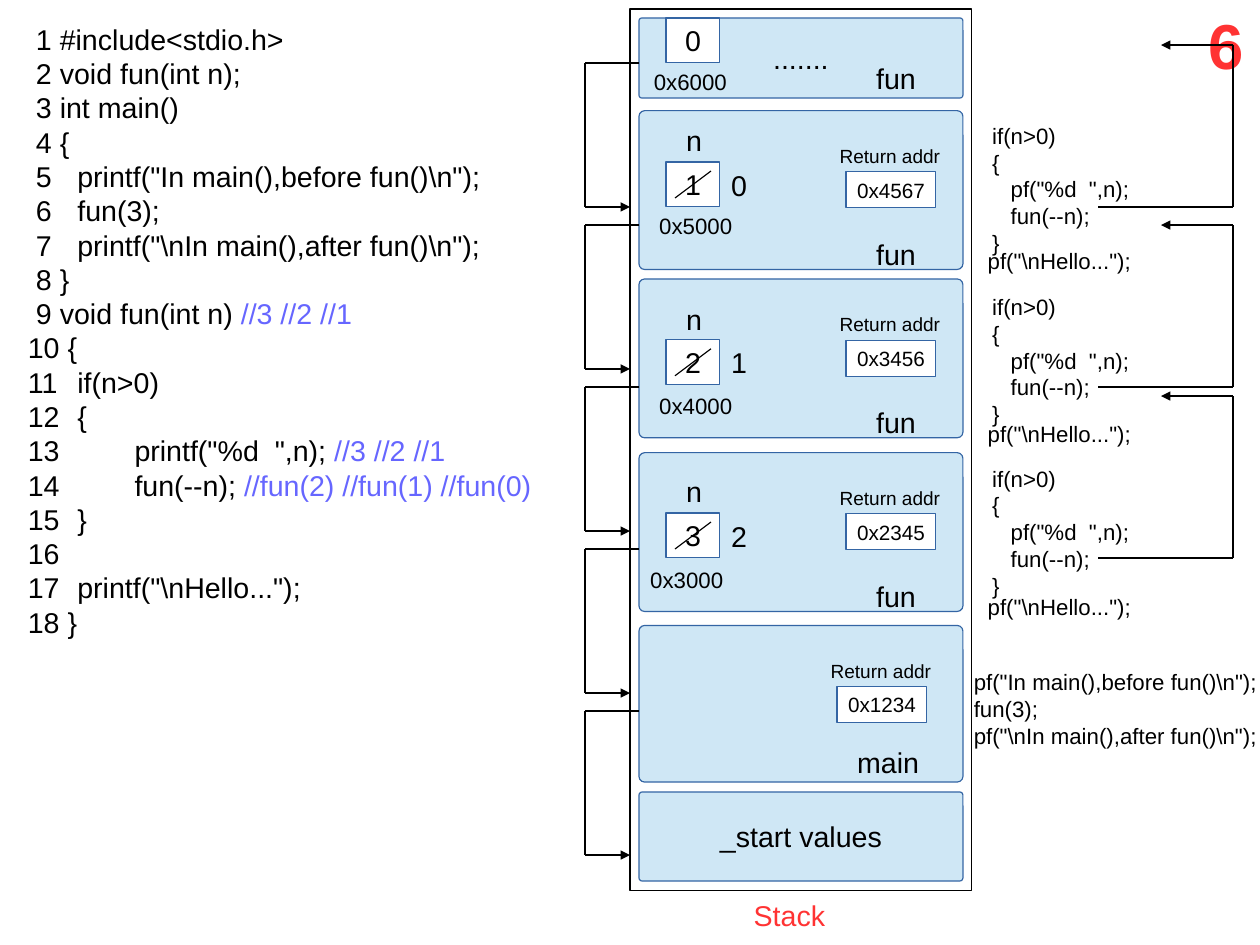
from lxml.etree import SubElement
from pptx import Presentation
from pptx.dml.color import RGBColor
from pptx.enum.shapes import MSO_CONNECTOR, MSO_SHAPE
from pptx.enum.text import MSO_ANCHOR, PP_ALIGN
from pptx.oxml.ns import qn
from pptx.util import Cm, Pt

BLACK, WHITE, RED = "000000", "FFFFFF", "FF3333"
COMMENT, FRAME, EDGE = "6666FF", "CFE7F5", "3465A4"

# Indent level, code, trailing comment
LISTING = [
    (0, "#include<stdio.h>", ""),
    (0, "void fun(int n);", ""),
    (0, "int main()", ""),
    (0, "{", ""),
    (1, 'printf("In main(),before fun()\\n");', ""),
    (1, "fun(3);", ""),
    (1, 'printf("\\nIn main(),after fun()\\n");', ""),
    (0, "}", ""),
    (0, "void fun(int n)", " //3 //2 //1"),
    (0, "{", ""),
    (1, "if(n>0)", ""),
    (1, "{", ""),
    (2, 'printf("%d  ",n);', " //3 //2 //1"),
    (2, "fun(--n);", " //fun(2) //fun(1) //fun(0)"),
    (1, "}", ""),
    (0, "", ""),
    (1, 'printf("\\nHello...");', ""),
    (0, "}", ""),
]

# Frame top, "n" top, cell top, old n, new n, address, its left and top, return address
CALLS = [
    (2.46, 2.6, 3.6, "1", "0", "0x5000", 14.4, 4.6, "0x4567"),
    (6.2, 6.58, 7.55, "2", "1", "0x4000", 14.4, 8.6, "0x3456"),
    (10.06, 10.4, 11.4, "3", "2", "0x3000", 14.2, 12.45, "0x2345"),
]


def color(hex_code):
    return RGBColor.from_string(hex_code)


class Sketch:
    """Draws styled elements on the current slide; lengths are in centimetres."""

    font_name = "Arial"
    line_width = Pt(0.75)

    def __init__(self, slide):
        self.slide = slide

    def style(self, para, size, ink=BLACK, bold=False):
        font = para.font
        font.name, font.size, font.bold = self.font_name, Pt(size), bold
        font.color.rgb = color(ink)

    def indent(self, para, first_line, stops=()):
        """Offset the first line and add left tab stops."""
        properties = para._p.get_or_add_pPr()
        properties.set("marL", "0")
        properties.set("indent", str(Cm(first_line)))
        if stops:
            tabs = SubElement(properties, qn("a:tabLst"))
            properties.insert(0, tabs)
            for stop in stops:
                SubElement(tabs, qn("a:tab"), pos=str(Cm(stop)), algn="l")

    def text(self, left, top, width, height, lines, size=18, ink=BLACK, bold=False):
        box = self.slide.shapes.add_textbox(Cm(left), Cm(top), Cm(width), Cm(height))
        frame = box.text_frame
        frame.word_wrap = True
        for index, line in enumerate(lines):
            para = frame.paragraphs[0] if index == 0 else frame.add_paragraph()
            para.text = line
            self.style(para, size, ink, bold)
        return frame.paragraphs

    def shape(self, left, top, width, height, text="", size=18,
              fill=WHITE, edge=EDGE, rounded=False):
        kind = MSO_SHAPE.ROUNDED_RECTANGLE if rounded else MSO_SHAPE.RECTANGLE
        box = self.slide.shapes.add_shape(kind, Cm(left), Cm(top), Cm(width), Cm(height))
        if rounded:
            box.adjustments[0] = 0.036
        box.shadow.inherit = False
        box.fill.solid()
        box.fill.fore_color.rgb = color(fill)
        box.line.color.rgb = color(edge)
        box.line.width = self.line_width
        if text:
            frame = box.text_frame
            frame.word_wrap = False
            frame.vertical_anchor = MSO_ANCHOR.MIDDLE
            para = frame.paragraphs[0]
            para.text = text
            para.alignment = PP_ALIGN.CENTER
            self.style(para, size)

    def stack_frame(self, top, height, text=""):
        self.shape(14.2, top, 7.2, height, text, fill=FRAME, rounded=True)

    def return_address(self, left, top, value):
        self.text(left - 0.39, top, 2.9, 0.7, ["Return addr"], 12)
        self.shape(left, top + 0.74, 2, 0.8, value, 13)

    def line(self, start, end, arrow=False):
        points = [Cm(value) for value in (*start, *end)]
        link = self.slide.shapes.add_connector(MSO_CONNECTOR.STRAIGHT, *points)
        link.line.color.rgb = color(BLACK)
        link.line.width = self.line_width
        if arrow:
            SubElement(link.line._get_or_add_ln(), qn("a:tailEnd"), type="triangle")
        SubElement(link._element.spPr, qn("a:effectLst"))

    def bracket(self, start_x, side_x, end_x, start_y, end_y):
        """Three segments around one side, ending in an arrowhead."""
        self.line((start_x, start_y), (side_x, start_y))
        self.line((side_x, start_y), (side_x, end_y))
        self.line((side_x, end_y), (end_x, end_y), arrow=True)

    def listing(self):
        numbered = [f"{number}{chr(9) * level or ' '}{code}".rstrip()
                    for number, (level, code, _) in enumerate(LISTING, 1)]
        paras = self.text(0.2, 0.36, 13.6, 13.03, numbered)
        for number, (para, (_, _, comment)) in enumerate(zip(paras, LISTING), 1):
            if number < 10:
                self.indent(para, 0.35, (2.28, 3.86))
            else:
                self.indent(para, 0.17, (2.46, 3.86))
            if comment:
                span = para.add_run()
                span.text = comment
                span.font.color.rgb = color(COMMENT)

    def call(self, top, n_top, cell_top, old, new, address, address_left, address_top, back):
        """One fun() frame with its argument and return address."""
        self.stack_frame(top, 3.53)
        self.return_address(18.8, top + 0.62, back)
        self.text(19.22, top + 2.68, 1.8, 0.94, ["fun"])
        self.shape(14.8, cell_top, 1.2, 1, old)
        self.line((15.8, cell_top + 0.2), (15, cell_top + 0.8))
        self.text(16, cell_top, 0.9, 0.94, [new])
        self.text(15, n_top, 0.9, 0.94, ["n"])
        self.text(address_left, address_top, 2.6, 0.8, [address], 14)


def main():
    deck = Presentation()
    deck.slide_width, deck.slide_height = Cm(28), Cm(21)
    page = Sketch(deck.slides.add_slide(deck.slide_layouts[6]))

    page.listing()
    page.shape(14, 0.2, 7.6, 19.6, edge=BLACK)
    page.stack_frame(17.6, 1.98, "_start values")
    page.stack_frame(13.9, 3.48)
    page.return_address(18.6, 14.52, "0x1234")
    page.text(18.8, 16.43, 2.2, 0.94, ["main"])
    for call in CALLS:
        page.call(*call)
    page.stack_frame(0.4, 1.78, ".......")
    page.text(19.22, 1.24, 1.8, 0.94, ["fun"])
    page.shape(14.8, 0.4, 1.2, 1, "0")
    page.text(14.28, 1.4, 2.7, 0.8, ["0x6000"], 14)
    page.text(16.5, 19.84, 2.9, 0.94, ["Stack"], ink=RED)
    page.text(26.6, 0, 1.27, 1.8, ["6"], 40, RED, bold=True)

    pending_code = ["if(n>0)", "{", 'pf("%d  ",n);', "fun(--n);", "}"]
    for step in range(3):
        paras = page.text(21.8, 2.59 + 3.81 * step, 4, 3.02, pending_code, 14)
        for para in paras[2:4]:
            page.indent(para, 0.41)
        page.text(21.7, 5.36 + 3.85 * step, 4.5, 0.8, ['pf("\\nHello...");'], 14)
    page.text(21.39, 14.73, 7, 2.2, [
        'pf("In main(),before fun()\\n");', "fun(3);", 'pf("\\nIn main(),after fun()\\n");'], 14)

    for bottom, top in ((12.4, 8.8), (8.6, 5), (4.6, 1)):
        page.bracket(24.4, 27.4, 25.8, bottom, top)
    for step in range(5):
        top = 1.4 + 3.6 * step
        page.bracket(14.2, 13, 14, top, top + 3.2)

    deck.save("out.pptx")


if __name__ == "__main__":
    main()
